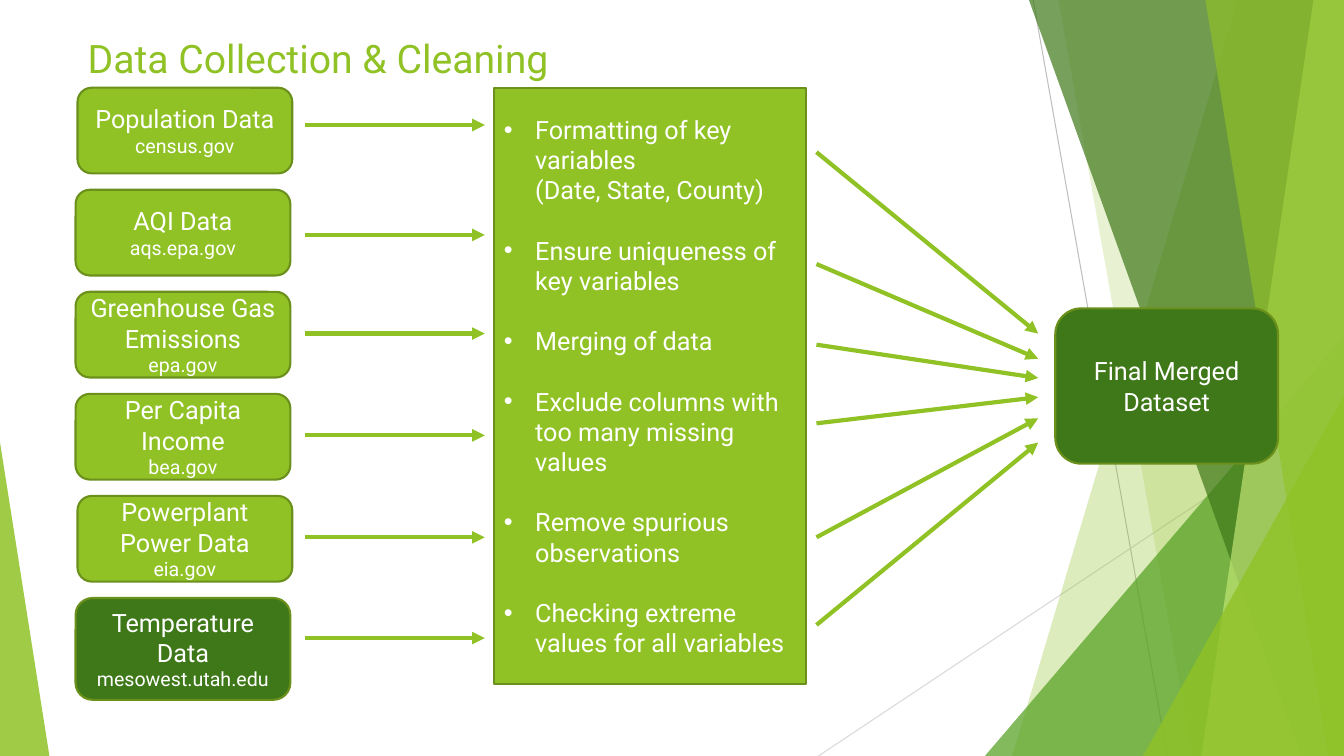
from dataclasses import dataclass

from lxml import etree
from pptx import Presentation
from pptx import util as u
from pptx.dml import color
from pptx.enum import shapes, text
from pptx.oxml import ns

WHITE = color.RGBColor(0xFF, 0xFF, 0xFF)
LIME = color.RGBColor(0x90, 0xC2, 0x26)
PALE_LIME = color.RGBColor(0xC0, 0xE4, 0x74)
GREEN = color.RGBColor(0x54, 0xA0, 0x21)
DARK_GREEN = color.RGBColor(0x3F, 0x78, 0x19)
OUTLINE = color.RGBColor(0x6B, 0x90, 0x1C)
GREY = color.RGBColor(0xBF, 0xBF, 0xBF)
LIGHT_GREY = color.RGBColor(0xD9, 0xD9, 0xD9)

WIDTH, HEIGHT = 960, 540
ROW_TOP, ROW_PITCH = 62.64, 72.9
LINE_GAP = 21.5
LIST_INDENT = 22.32


@dataclass(frozen=True)
class Band:
    top_x: float
    bottom_x: float
    fill: color.RGBColor
    opacity: int


@dataclass(frozen=True)
class Corner:
    left: float
    top: float
    width: float
    apex: float
    fill: color.RGBColor
    opacity: int


@dataclass(frozen=True)
class Source:
    name: str
    site: str
    left: float
    arrow_y: float
    height: float = 61.2
    fill: color.RGBColor = LIME


@dataclass(frozen=True)
class Step:
    wording: str
    start_y: float
    end_y: float


FACETS = [
    Band(884.2, 723, LIME, 30),
    Band(756, 851.8, LIME, 20),
    Corner(703.5, 240, 256.5, 1, GREEN, 72),
    Band(735, 929.5, DARK_GREEN, 70),
    Band(938.2, 858.2, PALE_LIME, 70),
    Band(861, 949, LIME, 65),
    Corner(816.5, 283, 143.5, 1, LIME, 80),
    Corner(0, 316, 35.3, 0, LIME, 85),
]
SOURCES = [
    Source("Population Data", "census.gov", 55.4, 89.3),
    Source("AQI Data", "aqs.epa.gov", 54, 167.8),
    Source("Greenhouse Gas Emissions", "epa.gov", 54, 238.3),
    Source("Per Capita Income", "bea.gov", 54, 311),
    Source("Powerplant Power Data", "eia.gov", 55.4, 383.8),
    Source("Temperature Data", "mesowest.utah.edu", 54, 455.8, 72.7, DARK_GREEN),
]
STEPS = [
    Step("Formatting of key variables\v(Date, State, County)", 108.7, 238.3),
    Step("Ensure uniqueness of key variables", 188.6, 256.3),
    Step("Merging of data", 246.2, 270),
    Step("Exclude columns with too many missing values", 302.4, 283.7),
    Step("Remove spurious observations", 383.8, 298.8),
    Step("Checking extreme values for all variables", 446.4, 316.1),
]


def add_child(parent, tag: str, **attributes: str):
    return etree.SubElement(parent, ns.qn(tag), attributes)


def format_para(para, size: float, ink=WHITE, align=text.PP_ALIGN.CENTER) -> None:
    para.alignment = align
    font_values = {"name": "Roboto", "size": u.Pt(size), "bold": False}
    for key, value in font_values.items():
        setattr(para.font, key, value)
    para.font.color.rgb = ink


def place(item, left: float, top: float, width: float, height: float) -> None:
    bounds = {"left": left, "top": top, "width": width, "height": height}
    for key, value in bounds.items():
        setattr(item, key, u.Pt(value))


def paint(box, fill: color.RGBColor) -> None:
    box.fill.solid()
    box.fill.fore_color.rgb = fill
    box.line.color.rgb = OUTLINE
    box.line.width = u.Pt(1.5)


def set_frame(box, anchor) -> None:
    frame_values = {"word_wrap": True, "auto_size": text.MSO_AUTO_SIZE.NONE,
                    "vertical_anchor": anchor}
    for key, value in frame_values.items():
        setattr(box.text_frame, key, value)


def draw_line(page, start: tuple, end: tuple, ink=LIME, width=3.0, arrow=True) -> None:
    line = page.shapes.add_connector(
        shapes.MSO_CONNECTOR.STRAIGHT, *map(u.Pt, start + end))
    line.line.color.rgb = ink
    line.line.width = u.Pt(width)
    properties = line.element.spPr
    if arrow:
        add_child(properties.find(ns.qn("a:ln")), "a:tailEnd", type="triangle")
    add_child(properties, "a:effectLst")


def draw_facet(page, facet: Band | Corner) -> None:
    if isinstance(facet, Band):
        builder = page.shapes.build_freeform(u.Pt(facet.top_x), 0)
        corners = [(WIDTH, 0), (WIDTH, HEIGHT), (facet.bottom_x, HEIGHT)]
        builder.add_line_segments([(u.Pt(x), u.Pt(y)) for x, y in corners])
        shape = builder.convert_to_shape()
    else:
        shape = page.shapes.add_shape(
            shapes.MSO_SHAPE.ISOSCELES_TRIANGLE, u.Pt(facet.left), u.Pt(facet.top),
            u.Pt(facet.width), u.Pt(HEIGHT - facet.top))
        shape.adjustments[0] = facet.apex
    shape.shadow.inherit = False
    shape.fill.solid()
    shape.fill.fore_color.rgb = facet.fill
    shape.line.fill.background()
    tint = shape.element.spPr.find(ns.qn("a:solidFill"))[0]
    add_child(tint, "a:alpha", val=str(facet.opacity * 1000))


def draw_box(page, bounds: tuple, fill: color.RGBColor, lines: list) -> None:
    box = page.shapes.add_shape(
        shapes.MSO_SHAPE.ROUNDED_RECTANGLE, *map(u.Pt, bounds))
    box.shadow.inherit = False
    paint(box, fill)
    set_frame(box, text.MSO_ANCHOR.MIDDLE)
    box.text_frame.text = "\n".join(wording for wording, size in lines)
    for para, (wording, size) in zip(box.text_frame.paragraphs, lines):
        format_para(para, size)


def fill_title(title) -> None:
    place(title, 55.4, 20.9, 828, 104.4)
    set_frame(title, text.MSO_ANCHOR.TOP)
    title.text_frame.text = "Data Collection & Cleaning"
    format_para(title.text_frame.paragraphs[0], 28, LIME, text.PP_ALIGN.LEFT)


def fill_steps(body) -> None:
    place(body, 352.8, ROW_TOP, 223.2, 426.2)
    paint(body, LIME)
    set_frame(body, text.MSO_ANCHOR.MIDDLE)
    body.text_frame.text = "\n".join(step.wording for step in STEPS)
    for index, para in enumerate(body.text_frame.paragraphs):
        para.space_before = u.Pt(LINE_GAP if index else 0)
        properties = para._p.get_or_add_pPr()
        properties.set("marL", str(u.Pt(LIST_INDENT)))
        properties.set("indent", str(u.Pt(-LIST_INDENT)))
        add_child(properties, "a:buFont", typeface="Arial")
        add_child(properties, "a:buChar", char="•")
        format_para(para, 18, align=text.PP_ALIGN.LEFT)


def main() -> None:
    deck = Presentation()
    deck.slide_width, deck.slide_height = u.Pt(WIDTH), u.Pt(HEIGHT)
    page = deck.slides.add_slide(deck.slide_layouts[1])
    title, body = page.placeholders
    draw_line(page, (738, 0), (833.8, HEIGHT), GREY, 0.75, False)
    draw_line(page, (WIDTH, 290.2), (584.6, HEIGHT), LIGHT_GREY, 0.75, False)
    for facet in FACETS:
        draw_facet(page, facet)
    fill_title(title)
    fill_steps(body)
    for placeholder in (title, body):
        page.shapes.element.append(placeholder.element)
    for row, source in enumerate(SOURCES):
        bounds = (source.left, ROW_TOP + row * ROW_PITCH, 153.4, source.height)
        draw_box(page, bounds, source.fill, [(source.name, 18), (source.site, 14)])
        draw_line(page, (218.2, source.arrow_y), (346.3, source.arrow_y))
    draw_box(page, (753.8, 220.3, 159.1, 110.9), DARK_GREEN,
             [("Final Merged Dataset", 18)])
    for step in STEPS:
        draw_line(page, (583.2, step.start_y), (741.6, step.end_y))
    deck.save("out.pptx")


if __name__ == "__main__":
    main()
